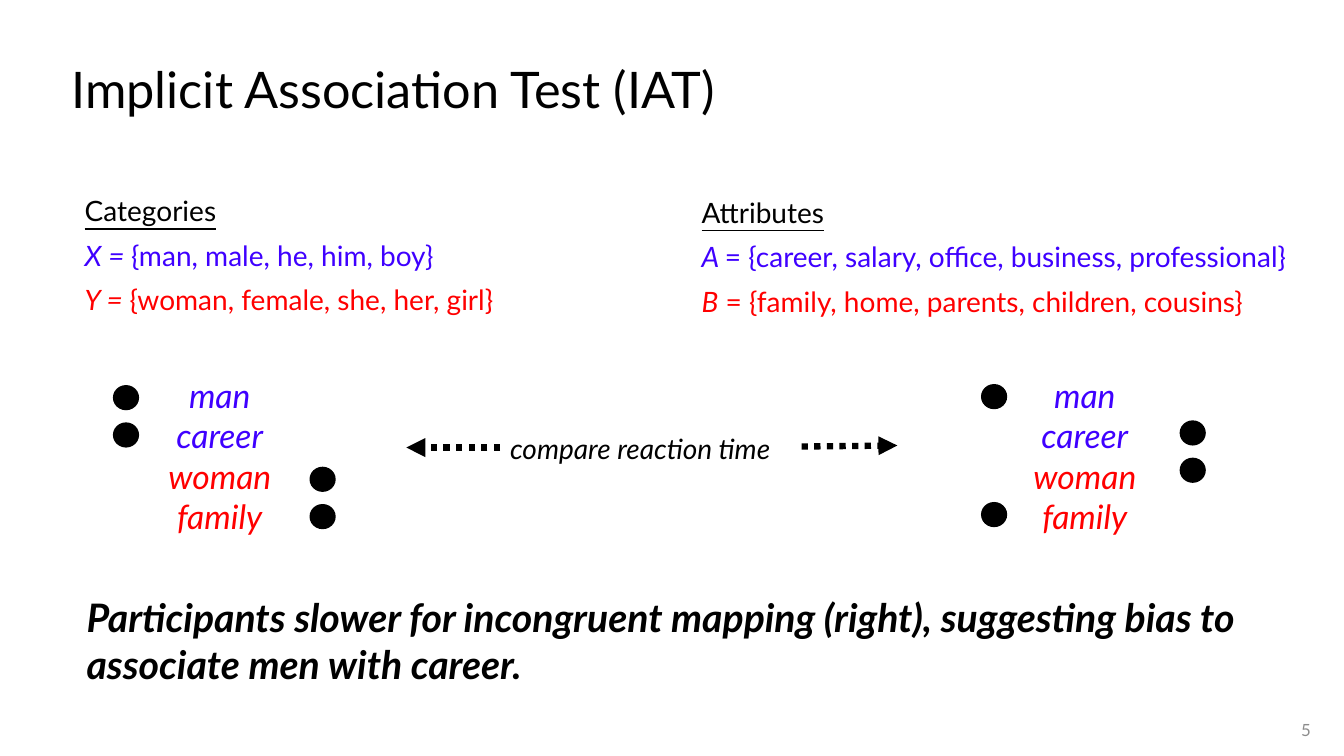
from lxml import etree
from pptx import Presentation
from pptx.dml.color import RGBColor
from pptx.enum.dml import MSO_LINE_DASH_STYLE as DASH
from pptx.enum.shapes import MSO_CONNECTOR, MSO_SHAPE
from pptx.enum.text import MSO_ANCHOR as ANCHOR, MSO_AUTO_SIZE as AUTO, PP_ALIGN as ALIGN
from pptx.oxml.ns import qn
from pptx.util import Inches, Pt

COLORS = {"black": "000000", "blue": "3F00FF", "red": "FF0000", "gray": "8C8C8C"}
WORDS = [("man", "blue"), ("career", "blue"), ("woman", "red"), ("family", "red")]
DOT_W, DOT_H = 0.26, 0.25
# Column left edge, then (left, top) of the dots that mark each word's side
MAPPINGS = [
    (1.53, [(1.12, 3.82), (1.12, 4.19), (3.07, 4.63), (3.07, 5)]),
    (10.11, [(9.73, 3.81), (11.7, 4.17), (11.7, 4.54), (9.73, 4.98)]),
]


def rgb(name):
    return RGBColor.from_string(COLORS[name])


def place(shape, left, top, width, height):
    box = {"left": left, "top": top, "width": width, "height": height}
    for name, value in box.items():
        setattr(shape, name, Inches(value))


def add_run(p, text, size, color="black", **formats):
    r = p.add_run()
    r.text = text
    r.font.color.rgb = rgb(color)
    for name, value in {"name": "Lato", "size": Pt(size), **formats}.items():
        setattr(r.font, name, value)


def prepare(tf, anchor=ANCHOR.TOP):
    settings = {"word_wrap": True, "auto_size": AUTO.NONE, "vertical_anchor": anchor}
    for name, value in settings.items():
        setattr(tf, name, value)


def add_paragraphs(tf, count):
    return [tf.paragraphs[0]] + [tf.add_paragraph() for _ in range(count - 1)]


def add_text(s, box, anchor=ANCHOR.TOP):
    tb = s.shapes.add_textbox(*map(Inches, box))
    prepare(tb.text_frame, anchor)
    return tb.text_frame


def fill_sets(tf, heading, sets):
    """Write an underlined heading and one coloured line per word set."""
    prepare(tf)
    paragraphs = add_paragraphs(tf, len(sets) + 1)
    for i, p in enumerate(paragraphs):
        pPr = p._p.get_or_add_pPr()
        pPr.set("marL", "0")
        pPr.set("indent", "0")
        etree.SubElement(pPr, qn("a:buNone"))
        p.line_spacing = 0.9
        p.space_before = Pt(10 if i else 0)
    add_run(paragraphs[0], heading, 20, underline=True)
    for p, (letter, words, color) in zip(paragraphs[1:], sets):
        add_run(p, letter, 20, color, italic=True)
        add_run(p, words, 20, color, italic=False)


def add_mapping(s, left, dots):
    tf = add_text(s, (left, 3.67, 1.3, 1.72))
    for p, (word, color) in zip(add_paragraphs(tf, len(WORDS)), WORDS):
        p.alignment = ALIGN.CENTER
        add_run(p, word, 24, color, italic=True)
    for x, y in dots:
        dot = s.shapes.add_shape(MSO_SHAPE.OVAL, *map(Inches, (x, y, DOT_W, DOT_H)))
        dot.shadow.inherit = False
        dot.fill.solid()
        dot.fill.fore_color.rgb = rgb("black")
        dot.line.fill.background()


def add_dotted_arrow(s, *ends):
    arrow = s.shapes.add_connector(MSO_CONNECTOR.STRAIGHT, *map(Inches, ends))
    arrow.line.color.rgb = rgb("black")
    arrow.line.width = Pt(4.5)
    arrow.line.dash_style = DASH.ROUND_DOT
    ln = arrow.line._get_or_add_ln()
    ln.find(qn("a:prstDash")).set("val", "sysDot")
    etree.SubElement(ln, qn("a:tailEnd"), type="triangle")
    etree.SubElement(arrow._element.spPr, qn("a:effectLst"))


def main():
    prs = Presentation()
    prs.slide_width, prs.slide_height = Inches(13.33), Inches(7.5)
    s = prs.slides.add_slide(prs.slide_layouts[1])

    title, body = s.shapes.title, s.placeholders[1]
    place(title, 0.61, 0.19, 11.5, 1.45)
    prepare(title.text_frame, ANCHOR.MIDDLE)
    p = title.text_frame.paragraphs[0]
    p.alignment, p.line_spacing = ALIGN.LEFT, 0.9
    add_run(p, "Implicit Association Test (IAT)", 36)

    place(body, 0.74, 1.91, 5.93, 1.57)
    fill_sets(body.text_frame, "Categories", [
        ("X = ", "{man, male, he, him, boy}", "blue"),
        ("Y = ", "{woman, female, she, her, girl}", "red"),
    ])
    fill_sets(add_text(s, (6.86, 1.93, 6.34, 1.57)), "Attributes", [
        ("A ", "= {career, salary, office, business, professional}", "blue"),
        ("B", " = {family, home, parents, children, cousins}", "red"),
    ])

    for left, dots in MAPPINGS:
        add_mapping(s, left, dots)

    tf = add_text(s, (4.96, 4.23, 3.02, 0.44))
    add_run(tf.paragraphs[0], "compare reaction time", 20, italic=True)
    add_dotted_arrow(s, 7.95, 4.43, 8.9, 4.42)
    add_dotted_arrow(s, 4.96, 4.44, 4.03, 4.44)

    tf = add_text(s, (0.76, 5.84, 11.89, 1.04))
    add_run(tf.paragraphs[0],
            "Participants slower for incongruent mapping (right), "
            "suggesting bias to associate men with career.",
            28, bold=True, italic=True)

    p = add_text(s, (10.1, 7.04, 3, 0.4), ANCHOR.MIDDLE).paragraphs[0]
    p.alignment = ALIGN.RIGHT
    add_run(p, "5", 12, "gray")

    prs.save("out.pptx")


if __name__ == "__main__":
    main()
